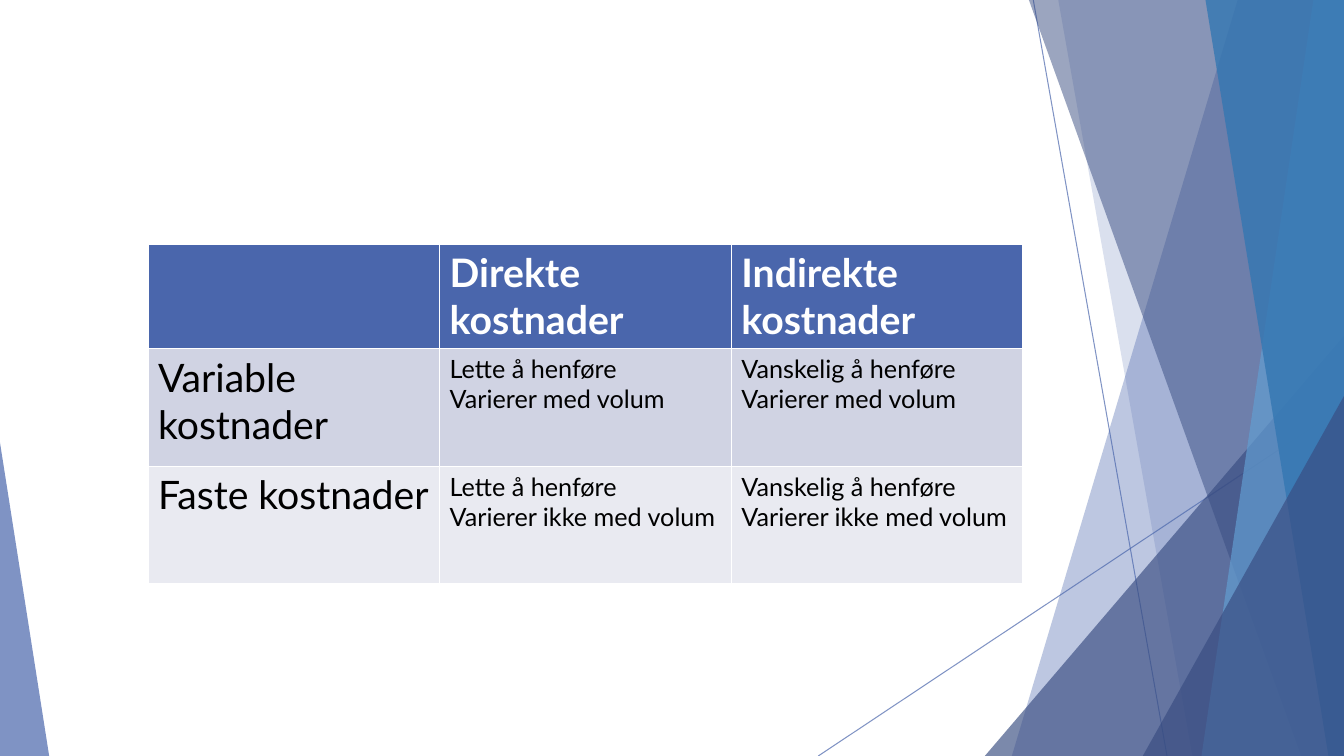
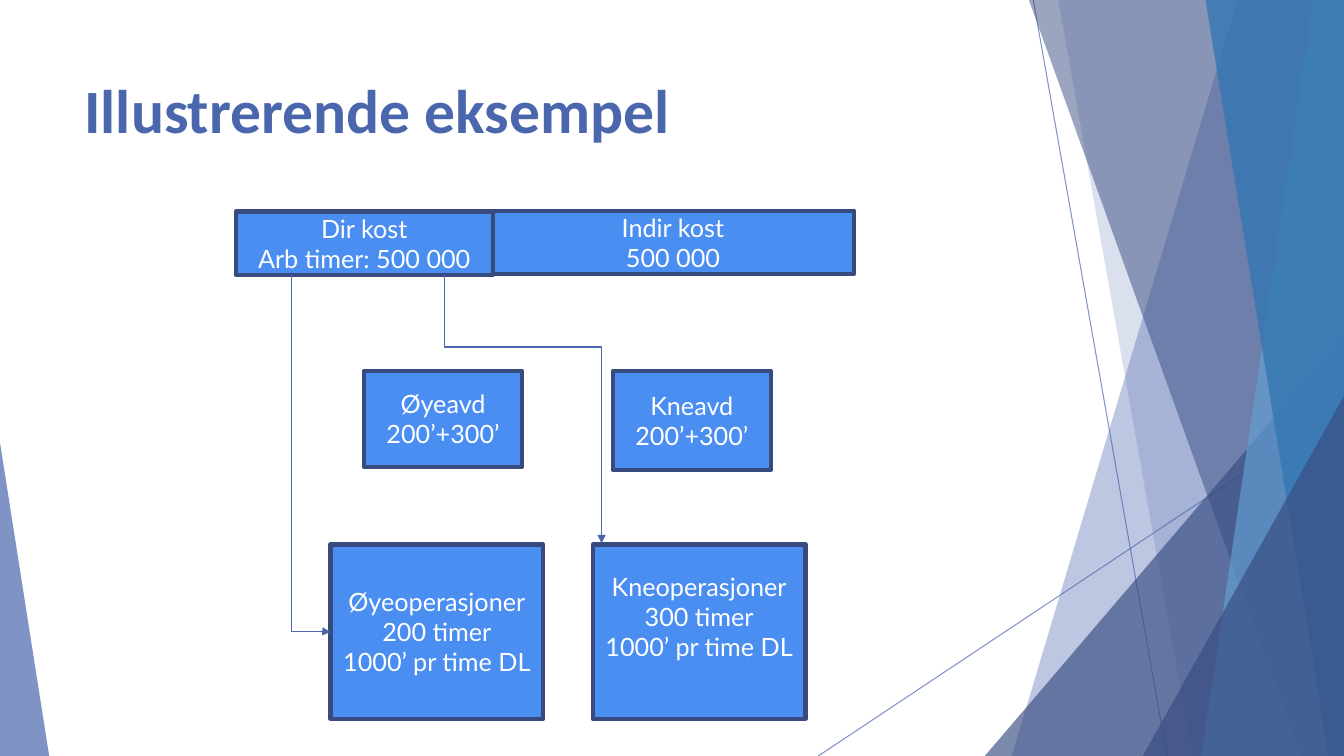
import pptx
import pptx.util
import pptx.dml.color
import pptx.enum.shapes
import pptx.enum.text
import pptx.oxml
import pptx.oxml.ns
import lxml.etree

Cm = pptx.util.Cm
Pt = pptx.util.Pt
SHAPE = pptx.enum.shapes.MSO_SHAPE
LINK = pptx.enum.shapes.MSO_CONNECTOR
ALIGN = pptx.enum.text.PP_ALIGN
ANCHOR = pptx.enum.text.MSO_ANCHOR

# Shared look (lengths in cm)
WIDE, HIGH = 33.87, 19.05
BLUE, NAVY, SKY, DEEP = "4A66AC", "384C81", "629DD1", "3477B2"
WHITE, BLACK = "FFFFFF", "000000"
BOX_FILL, BOX_LINE = "4A8EF2", "374B7F"

RAYS = [(26.04, 0, 29.41, HIGH), (WIDE, 10.24, 20.62, HIGH)]
# Bands run to the right edge: top x, bottom x, colour, opacity
# Wedges: left, top, width, apex position, colour, opacity
DECOR = [
    ("band", 31.19, 25.5, BLUE, 36),
    ("band", 26.67, 30.05, BLUE, 20),
    ("wedge", 24.82, 8.46, 9.05, 1, NAVY, 66),
    ("band", 25.93, 32.79, NAVY, 50),
    ("band", 33.1, 30.28, SKY, 70),
    ("band", 30.38, 33.48, DEEP, 80),
    ("wedge", 28.8, 9.98, 5.07, 1, NAVY, 66),
    ("wedge", 0, 11.15, 1.24, 0, BLUE, 70),
]

# Slide 1: cost table
COSTS = [
    [[], ["Direkte kostnader"], ["Indirekte kostnader"]],
    [["Variable kostnader"],
     ["Lette å henføre", "Varierer med volum"],
     ["Vanskelig å henføre", "Varierer med volum"]],
    [["Faste kostnader"],
     ["Lette å henføre", "Varierer ikke med volum"],
     ["Vanskelig å henføre", "Varierer ikke med volum"]],
]
ROW_FILLS = [BLUE, "D0D3E3", "E9EAF1"]
ROW_TALL = [2.59, 2.97, 2.97]
COL_WIDE = 7.35

# Slide 2: left, top, width, height, lines, extra space below the text
TITLE = "Illustrerende eksempel"
BOXES = [
    (9.17, 9.35, 3.99, 2.41, ["Øyeavd", "200’+300’"], 0),
    (15.44, 9.35, 3.99, 2.49, ["Kneavd", "200’+300’"], 0),
    (12.4, 5.31, 9.12, 1.6, ["Indir kost", "500 000"], 0),
    (5.94, 5.33, 6.48, 1.6, ["Dir kost", "Arb timer: 500 000"], 0),
    (8.33, 13.72, 5.36, 4.39,
     ["Øyeoperasjoner", "200 timer", "1000’ pr time DL"], 0),
    (14.94, 13.72, 5.36, 4.39,
     ["Kneoperasjoner", "300 timer", "1000’ pr time DL"], 0.76),
]
# From x, y to x, y, and the share of the drop before the turn
ARROWS = [(7.34, 6.91, 8.33, 15.93, 0.998), (11.2, 6.91, 15.16, 13.69, 0.27)]


def color(code):
    return pptx.dml.color.RGBColor.from_string(code)


def add_tag(node, tag, **attrs):
    return lxml.etree.SubElement(node, pptx.oxml.ns.qn(tag), attrs)


def fade(shape, share):
    for node in shape.element.spPr.iter(pptx.oxml.ns.qn("a:srgbClr")):
        add_tag(node, "a:alpha", val=str(share * 1000))


def write(frame, lines, size=18, font="Lato", ink=BLACK, bold=False,
          align=ALIGN.LEFT):
    frame.word_wrap = True
    for i, line in enumerate(lines):
        para = frame.paragraphs[0] if i == 0 else frame.add_paragraph()
        para.alignment = align
        run = para.add_run()
        run.text = line
        run.font.size = Pt(size)
        run.font.name = font
        run.font.bold = bold
        run.font.color.rgb = color(ink)


def paint(shape, fill):
    shape.shadow.inherit = False
    shape.fill.solid()
    shape.fill.fore_color.rgb = color(fill)
    shape.line.fill.background()


def add_line(slide, kind, ends, width):
    line = slide.shapes.add_connector(kind, *[Cm(v) for v in ends])
    line.line.color.rgb = color(BLUE)
    line.line.width = Pt(width)
    add_tag(line.element.spPr, "a:effectLst")
    return line


def add_band(slide, top, low, fill, share):
    pen = slide.shapes.build_freeform(Cm(top), 0)
    pen.add_line_segments([(Cm(WIDE), 0), (Cm(WIDE), Cm(HIGH)),
                           (Cm(low), Cm(HIGH))], close=True)
    band = pen.convert_to_shape()
    paint(band, fill)
    fade(band, share)


def add_wedge(slide, left, top, width, apex, fill, share):
    wedge = slide.shapes.add_shape(SHAPE.ISOSCELES_TRIANGLE, Cm(left), Cm(top),
                                   Cm(width), Cm(HIGH - top))
    wedge.adjustments[0] = apex
    paint(wedge, fill)
    fade(wedge, share)


def dress(slide, layout):
    # Draw the backdrop once, then hand it to the layout
    for holder in list(layout.placeholders):
        layout.shapes.element.remove(holder.element)
    for ray in RAYS:
        fade(add_line(slide, LINK.STRAIGHT, ray, 0.75), 70)
    draw = {"band": add_band, "wedge": add_wedge}
    for kind, *part in DECOR:
        draw[kind](slide, *part)
    for shape in list(slide.shapes):
        layout.shapes.element.append(shape.element)


def add_costs(slide):
    table = slide.shapes.add_table(
        len(COSTS), len(COSTS[0]), Cm(3.73), Cm(6.15),
        Cm(COL_WIDE * len(COSTS[0])), Cm(sum(ROW_TALL))).table
    for col in table.columns:
        col.width = Cm(COL_WIDE)
    for r, row in enumerate(COSTS):
        table.rows[r].height = Cm(ROW_TALL[r])
        for c, lines in enumerate(row):
            cell = table.cell(r, c)
            cell.fill.solid()
            cell.fill.fore_color.rgb = color(ROW_FILLS[r])
            head = r == 0
            write(cell.text_frame, lines, size=28 if head or c == 0 else 18,
                  ink=WHITE if head else BLACK, bold=head)


def add_box(slide, left, top, width, height, lines, below):
    box = slide.shapes.add_shape(SHAPE.RECTANGLE, Cm(left), Cm(top),
                                 Cm(width), Cm(height))
    paint(box, BOX_FILL)
    box.line.color.rgb = color(BOX_LINE)
    box.line.width = Pt(3)
    frame = box.text_frame
    frame.vertical_anchor = ANCHOR.MIDDLE
    frame.margin_bottom = Cm(0.13 + below)
    write(frame, lines, ink=WHITE, align=ALIGN.CENTER)


def add_arrow(slide, x1, y1, x2, y2, turn):
    # Lay the elbow on its side and rotate it, so that it leaves downwards
    mid_x, mid_y = (x1 + x2) / 2, (y1 + y2) / 2
    half_w, half_h = (y2 - y1) / 2, (x2 - x1) / 2
    ends = (mid_x + half_w, mid_y - half_h, mid_x - half_w, mid_y + half_h)
    arrow = add_line(slide, LINK.ELBOW, ends, 1)
    props = arrow.element.spPr
    props.find(pptx.oxml.ns.qn("a:xfrm")).set("rot", str(270 * 60000))
    guides = next(props.iter(pptx.oxml.ns.qn("a:avLst")))
    add_tag(guides, "a:gd", name="adj1", fmla=f"val {round(turn * 100000)}")
    add_tag(props.find(pptx.oxml.ns.qn("a:ln")), "a:tailEnd", type="triangle")


def main():
    deck = pptx.Presentation()
    deck.slide_width, deck.slide_height = Cm(WIDE), Cm(HIGH)
    blank = deck.slide_layouts[6]

    # Slide 1
    slide = deck.slides.add_slide(blank)
    dress(slide, blank)
    add_costs(slide)

    # Slide 2
    slide = deck.slides.add_slide(blank)
    title = slide.shapes.add_textbox(Cm(1.88), Cm(1.7), Cm(23.88), Cm(3.66))
    write(title.text_frame, [TITLE], size=44, font="Calibri", ink=BLUE,
          bold=True)
    for box in BOXES:
        add_box(slide, *box)
    for arrow in ARROWS:
        add_arrow(slide, *arrow)

    deck.save("out.pptx")


if __name__ == "__main__":
    main()
